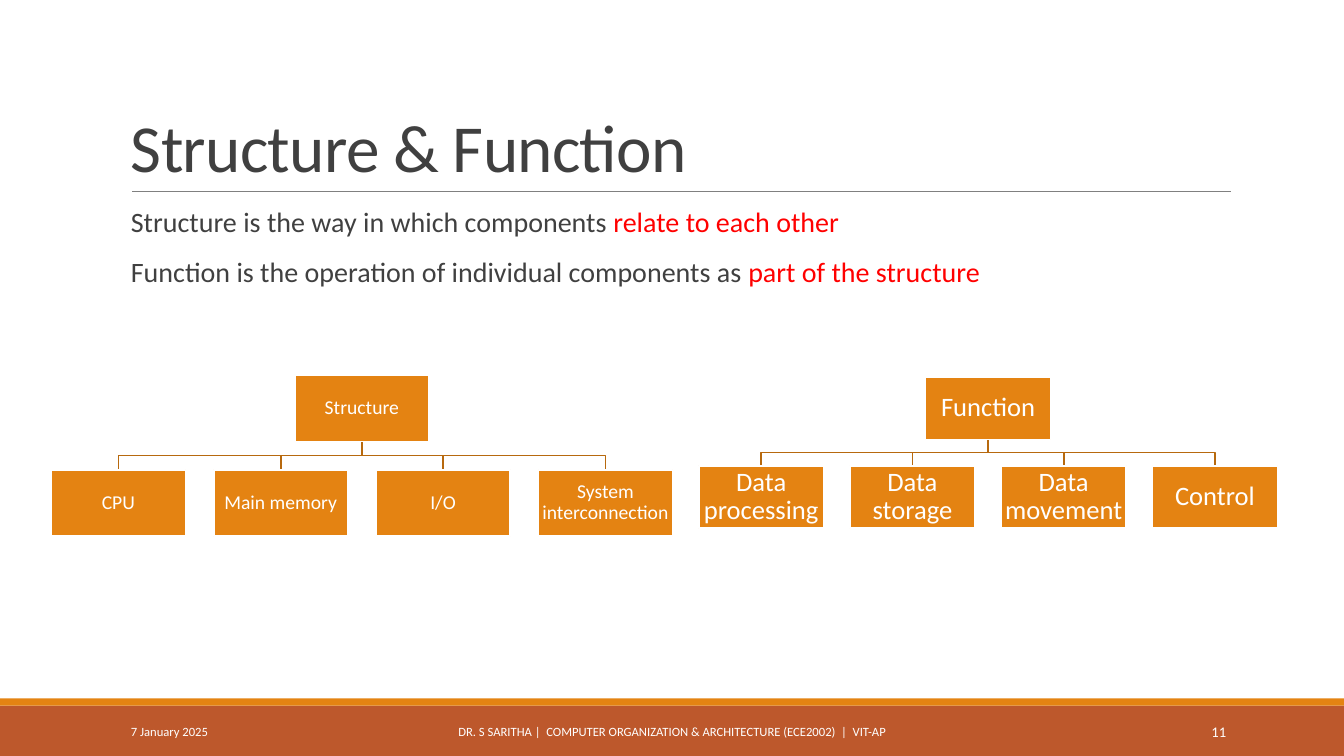
from dataclasses import dataclass

from lxml import etree
from pptx import Presentation
from pptx.dml.color import RGBColor
from pptx.enum.shapes import MSO_CONNECTOR, MSO_SHAPE
from pptx.enum.text import MSO_ANCHOR, PP_ALIGN
from pptx.oxml.ns import qn
from pptx.util import Inches, Pt

RECTANGLE = MSO_SHAPE.RECTANGLE
STRAIGHT = MSO_CONNECTOR.STRAIGHT
TOP, MIDDLE, BOTTOM = MSO_ANCHOR.TOP, MSO_ANCHOR.MIDDLE, MSO_ANCHOR.BOTTOM
LEFT, CENTER, RIGHT = PP_ALIGN.LEFT, PP_ALIGN.CENTER, PP_ALIGN.RIGHT


@dataclass(frozen=True)
class Theme:
    font: str = "Calibri"
    text: RGBColor = RGBColor(0x40, 0x40, 0x40)
    highlight: RGBColor = RGBColor(0xFF, 0x00, 0x00)
    white: RGBColor = RGBColor(0xFF, 0xFF, 0xFF)
    orange: RGBColor = RGBColor(0xE4, 0x83, 0x12)
    rust: RGBColor = RGBColor(0xBD, 0x58, 0x2C)
    branch: RGBColor = RGBColor(0xB7, 0x69, 0x0E)
    rule: RGBColor = RGBColor(0x80, 0x80, 0x80)
    title_size: float = 48
    body_size: float = 20
    structure_size: float = 14
    function_size: float = 19
    footer_size: float = 9
    number_size: float = 10.5
    rule_width: float = 0.5
    tree_width: float = 1.25


class SlideBuilder:
    def __init__(self, slide, theme):
        self.slide = slide
        self.theme = theme

    def format_run(self, run, size, color):
        run.font.name = self.theme.font
        run.font.size = Pt(size)
        run.font.color.rgb = color

    def prepare_frame(self, shape, anchor, insets):
        frame = shape.text_frame
        frame.word_wrap = True
        frame.vertical_anchor = anchor
        frame.margin_left, frame.margin_top, frame.margin_right, frame.margin_bottom = map(Inches, insets)
        return frame

    def text_box(self, bounds, anchor, insets=(0.1, 0.05, 0.1, 0.05)):
        shape = self.slide.shapes.add_textbox(*map(Inches, bounds))
        return self.prepare_frame(shape, anchor, insets)

    def label(self, bounds, text, size, color, alignment=LEFT, anchor=MIDDLE):
        paragraph = self.text_box(bounds, anchor).paragraphs[0]
        paragraph.text = text
        paragraph.alignment = alignment
        self.format_run(paragraph.runs[0], size, color)
        return paragraph

    def title(self, bounds, text):
        paragraph = self.label(bounds, text, self.theme.title_size, self.theme.text, anchor=BOTTOM)
        paragraph.line_spacing = 0.85
        paragraph.runs[0].font._element.set("spc", "-50")

    def body(self, bounds, statements):
        frame = self.text_box(bounds, TOP, (0.1, 0.05, 0, 0.05))
        for index, (opening, emphasis) in enumerate(statements):
            paragraph = frame.add_paragraph() if index else frame.paragraphs[0]
            paragraph.line_spacing = 0.9
            paragraph.space_before = Pt(12 if index else 0)
            paragraph.space_after = Pt(2)
            for text, color in ((opening, self.theme.text), (emphasis, self.theme.highlight)):
                run = paragraph.add_run()
                run.text = text
                self.format_run(run, self.theme.body_size, color)

    def rectangle(self, bounds, color):
        shape = self.slide.shapes.add_shape(RECTANGLE, *map(Inches, bounds))
        shape.shadow.inherit = False
        shape.fill.solid()
        shape.fill.fore_color.rgb = color
        shape.line.fill.background()
        return shape

    def rule(self, left, right, top):
        line = self.slide.shapes.add_connector(STRAIGHT, Inches(left), Inches(top), Inches(right), Inches(top))
        line.line.color.rgb = self.theme.rule
        line.line.width = Pt(self.theme.rule_width)
        etree.SubElement(line._element.spPr, qn("a:effectLst"))

    def branch(self, start_x, start_y, end_x, end_y):
        middle_y = (start_y + end_y) / 2
        corners = [(start_x, middle_y), (end_x, middle_y), (end_x, end_y)]
        builder = self.slide.shapes.build_freeform(Inches(start_x), Inches(start_y))
        builder.add_line_segments([(Inches(x), Inches(y)) for x, y in corners], close=False)
        shape = builder.convert_to_shape()
        shape.shadow.inherit = False
        shape.fill.background()
        shape.line.color.rgb = self.theme.branch
        shape.line.width = Pt(self.theme.tree_width)

    def node(self, center, top, width, height, text, size):
        shape = self.rectangle((center - width / 2, top, width, height), self.theme.orange)
        shape.line.color.rgb = self.theme.white
        shape.line.width = Pt(self.theme.tree_width)
        paragraph = self.prepare_frame(shape, MIDDLE, (0.01,) * 4).paragraphs[0]
        paragraph.text = text
        paragraph.alignment = CENTER
        paragraph.line_spacing = 0.9
        self.format_run(paragraph.runs[0], size, self.theme.white)

    def tree(self, root, leaves, center, top, width, height, pitch, gap, size):
        leaf_top = top + height + gap
        first_center = center - pitch * (len(leaves) - 1) / 2
        leaf_centers = [first_center + index * pitch for index in range(len(leaves))]
        for leaf_center in leaf_centers:
            self.branch(center, top + height, leaf_center, leaf_top)
        self.node(center, top, width, height, root, size)
        for leaf_center, leaf in zip(leaf_centers, leaves):
            self.node(leaf_center, leaf_top, width, height, leaf, size)


def main():
    presentation = Presentation()
    presentation.slide_width = Inches(13.33)
    presentation.slide_height = Inches(7.5)
    theme = Theme()
    builder = SlideBuilder(presentation.slides.add_slide(presentation.slide_layouts[6]), theme)

    builder.rectangle((0, 7, 13.33, 0.5), theme.rust)
    builder.rectangle((0, 6.93, 13.33, 0.07), theme.orange)
    builder.rule(1.31, 12.21, 1.9)
    builder.title((1.2, 0.31, 11, 1.59), "Structure & Function")
    builder.body((1.2, 2.02, 11, 4.4), [
        ("Structure is the way in which components ", "relate to each other"),
        ("Function is the operation of individual components as ", "part of the structure"),
    ])

    footers = [
        (1.2, 2.7, "7 January 2025", theme.footer_size, LEFT),
        (4.03, 5.27, "DR. S SARITHA |  COMPUTER ORGANIZATION & ARCHITECTURE (ECE2002)  |  VIT-AP",
         theme.footer_size, CENTER),
        (10.83, 1.43, "11", theme.number_size, RIGHT),
    ]
    for left, width, text, size, alignment in footers:
        builder.label((left, 7.06, width, 0.4), text, size, theme.white, alignment)

    builder.tree("Function", ["Data processing", "Data storage", "Data movement", "Control"],
                 center=9.8, top=3.74, width=1.24, height=0.62, pitch=1.5, gap=0.26,
                 size=theme.function_size)
    builder.tree("Structure", ["CPU", "Main memory", "I/O", "System interconnection"],
                 center=3.59, top=3.72, width=1.33, height=0.66, pitch=1.61, gap=0.28,
                 size=theme.structure_size)

    presentation.save("out.pptx")


if __name__ == "__main__":
    main()
